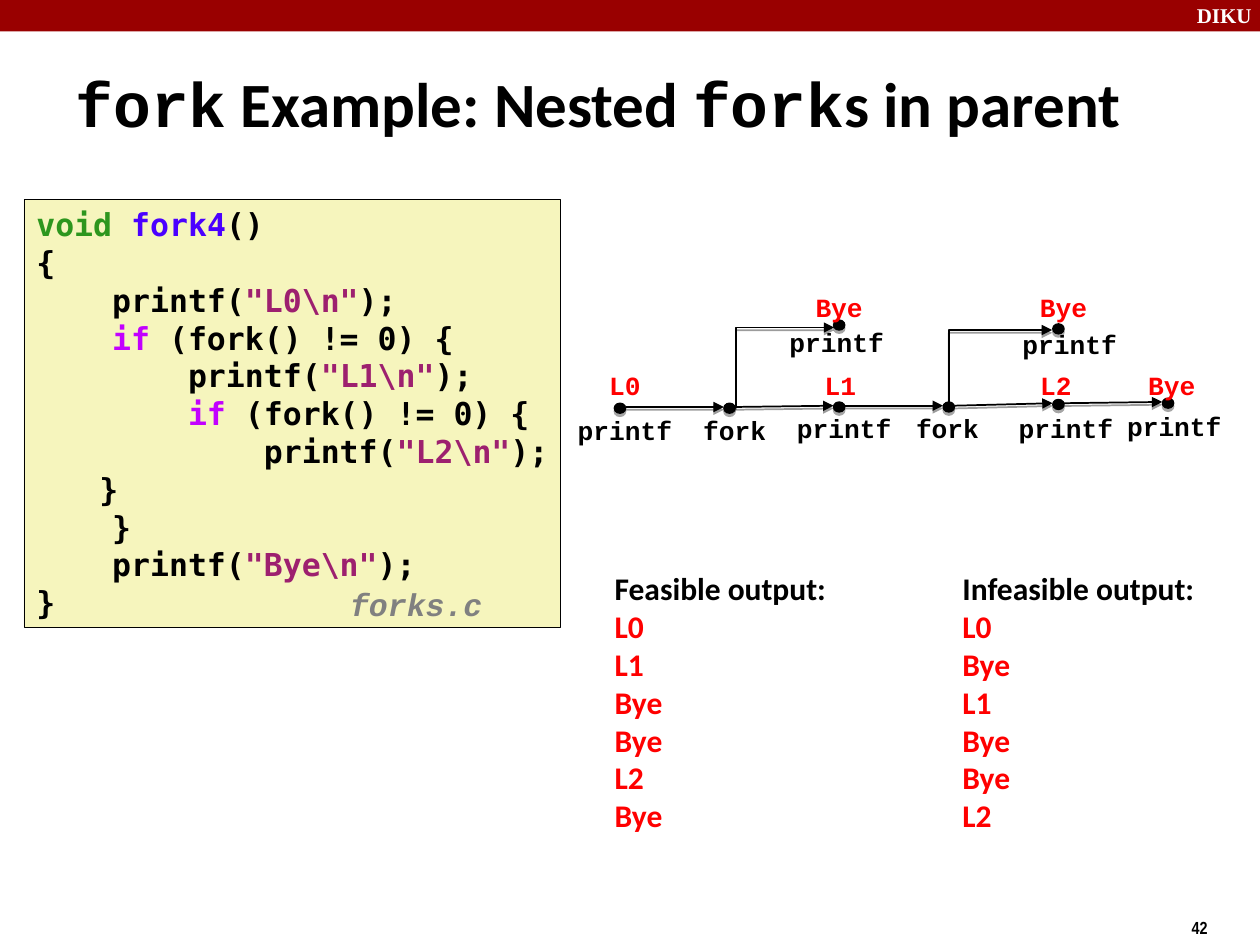
"""Build a slide on nested forks in the parent, with code, process graph and outputs."""
from lxml import etree
from pptx import Presentation
from pptx.dml.color import RGBColor
from pptx.enum.shapes import MSO_CONNECTOR, MSO_SHAPE
from pptx.enum.text import MSO_ANCHOR, PP_ALIGN
from pptx.oxml.ns import qn
from pptx.util import Inches, Pt

RECTANGLE, OVAL = MSO_SHAPE.RECTANGLE, MSO_SHAPE.OVAL
STRAIGHT, ELBOW = MSO_CONNECTOR.STRAIGHT, MSO_CONNECTOR.ELBOW
LEFT, CENTER = PP_ALIGN.LEFT, PP_ALIGN.CENTER
TOP, MIDDLE = MSO_ANCHOR.TOP, MSO_ANCHOR.MIDDLE

BLACK = RGBColor(0x00, 0x00, 0x00)
WHITE = RGBColor(0xFF, 0xFF, 0xFF)
CRIMSON = RGBColor(0x99, 0x00, 0x00)
RED = RGBColor(0xFF, 0x00, 0x00)
GRAY = RGBColor(0x80, 0x80, 0x80)
CREAM = RGBColor(0xF6, 0xF5, 0xBD)
TYPE_GREEN = RGBColor(0x2D, 0x96, 0x1E)
NAME_BLUE = RGBColor(0x4A, 0x00, 0xFF)
STRING_PURPLE = RGBColor(0x9D, 0x20, 0x6F)
KEYWORD_PINK = RGBColor(0xC2, 0x00, 0xFF)

SANS, MONO, CODE_FONT = "Calibri", "Courier New", "DejaVu Sans Mono"


def print_line(indent, string):
    return [(indent + "printf(", BLACK), (string, STRING_PURPLE), (");", BLACK)]


def if_line(indent):
    return [(indent, BLACK), ("if", KEYWORD_PINK), (" (fork() != 0) {", BLACK)]


TITLE = [("fork", MONO), (" Example: Nested ", SANS), ("fork", MONO), ("s in parent", SANS)]
CODE = [
    [("void ", TYPE_GREEN), ("fork4", NAME_BLUE), ("()", BLACK)],
    [("{", BLACK)],
    print_line("    ", '"L0\\n"'),
    if_line("    "),
    print_line("        ", '"L1\\n"'),
    if_line("        "),
    print_line("            ", '"L2\\n"'),
    [("\t}", BLACK)],
    [("    }", BLACK)],
    print_line("    ", '"Bye\\n"'),
    [("}", BLACK)],
]
OUTPUTS = [
    (4.78, 1.88, "Feasible output:", ["L0", "L1", "Bye", "Bye", "L2", "Bye"]),
    (7.54, 2.04, "Infeasible output:", ["L0", "Bye", "L1", "Bye", "Bye", "L2"]),
]

# Rows: caption, dot centre y, caption centre x, caption top, printed text, printed centre x
PARENT = [
    ("printf", 3.24, 4.96, 3.24, "L0", 4.96),
    ("fork", 3.24, 5.83, 3.24, None, None),
    ("printf", 3.23, 6.7, 3.22, "L1", 6.67),
    ("fork", 3.23, 7.52, 3.22, None, None),
    ("printf", 3.21, 8.46, 3.22, "L2", 8.38),
    ("printf", 3.2, 9.32, 3.21, "Bye", 9.3),
]
CHILDREN = [
    ("printf", 2.58, 6.64, 2.54, "Bye", 6.66),
    ("printf", 2.61, 8.49, 2.56, "Bye", 8.44),
]
BRANCHES = [((5.84, 3.23), (6.62, 2.6)), ((7.53, 3.22), (8.35, 2.62))]
FIRST_DOT, DOT_STEP, DOT_WIDTH, DOT_HEIGHT = 4.92, 0.87, 0.09, 0.08
PARENT_PRINT_TOP, CHILD_PRINT_TOP = 2.88, 2.26
CAPTION_WIDTH, CAPTION_HEIGHT = 1.05, 0.35


def write(frame, paragraphs, size, align=LEFT, anchor=TOP, italic=False):
    """Fill a text frame with paragraphs of (text, font, color) runs."""
    frame.word_wrap = False
    frame.vertical_anchor = anchor
    for index, runs in enumerate(paragraphs):
        paragraph = frame.paragraphs[0] if index == 0 else frame.add_paragraph()
        paragraph.alignment = align
        for text, font, color in runs:
            run = paragraph.add_run()
            run.text = text
            run.font.name, run.font.size = font, Pt(size)
            run.font.bold, run.font.italic = True, italic
            run.font.color.rgb = color


def add_text(slide, box, paragraphs, size, **options):
    shape = slide.shapes.add_textbox(*map(Inches, box))
    write(shape.text_frame, paragraphs, size, **options)
    return shape


def add_block(slide, kind, box, fill, line_width=None):
    shape = slide.shapes.add_shape(kind, *map(Inches, box))
    shape.shadow.inherit = False
    shape.fill.solid()
    shape.fill.fore_color.rgb = fill
    if line_width is None:
        shape.line.fill.background()
    else:
        shape.line.color.rgb = BLACK
        shape.line.width = Pt(line_width)
    return shape


def add_shadow(shape, distance, opacity):
    """Drop a sharp black shadow straight below a shape or connector."""
    properties = shape._element.spPr
    effects = properties.find(qn("a:effectLst"))
    if effects is None:
        effects = etree.SubElement(properties, qn("a:effectLst"))
    shadow = etree.SubElement(effects, qn("a:outerShdw"), blurRad="0",
                              dist=str(Pt(distance)), dir="5400000", rotWithShape="0")
    color = etree.SubElement(shadow, qn("a:srgbClr"), val=str(BLACK))
    etree.SubElement(color, qn("a:alpha"), val=str(opacity * 1000))


def add_arrow(slide, kind, start, end):
    connector = slide.shapes.add_connector(kind, *map(Inches, (*start, *end)))
    connector.line.color.rgb = BLACK
    connector.line.width = Pt(1)
    etree.SubElement(connector.line._get_or_add_ln(), qn("a:tailEnd"), type="triangle")
    add_shadow(connector, 1.6, 38)
    return connector


def add_branch(slide, start, end):
    """Draw an arrow that goes up from start, then right to end."""
    middle_x, middle_y = (start[0] + end[0]) / 2, (start[1] + end[1]) / 2
    half_rise, half_run = (start[1] - end[1]) / 2, (end[0] - start[0]) / 2
    connector = add_arrow(slide, ELBOW, (middle_x + half_rise, middle_y + half_run),
                          (middle_x - half_rise, middle_y - half_run))
    properties = connector._element.spPr
    properties.find(qn("a:prstGeom")).set("prst", "bentConnector2")
    properties.find(qn("a:xfrm")).set("rot", "5400000")


def add_caption(slide, text, center, top, color):
    box = (center - CAPTION_WIDTH / 2, top, CAPTION_WIDTH, CAPTION_HEIGHT)
    add_text(slide, box, [[(text, MONO, color)]], 15, align=CENTER)


def add_events(slide, events, columns, print_top):
    for column, (caption, y, center, top, printed, print_center) in zip(columns, events):
        x = FIRST_DOT + column * DOT_STEP
        dot = add_block(slide, OVAL, (x - DOT_WIDTH / 2, y - DOT_HEIGHT / 2,
                                      DOT_WIDTH, DOT_HEIGHT), BLACK, 0.75)
        add_shadow(dot, 1.8, 35)
        add_caption(slide, caption, center, top, BLACK)
        if printed:
            add_caption(slide, printed, print_center, print_top, RED)


def add_graph(slide):
    for column, (event, following) in enumerate(zip(PARENT, PARENT[1:])):
        x = FIRST_DOT + column * DOT_STEP
        add_arrow(slide, STRAIGHT, (x + DOT_WIDTH / 2, event[1] - 0.01),
                  (x + DOT_STEP - DOT_WIDTH / 2, following[1] - 0.01))
    for start, end in BRANCHES:
        add_branch(slide, start, end)
    add_events(slide, PARENT, range(len(PARENT)), PARENT_PRINT_TOP)
    add_events(slide, CHILDREN, (2, 4), CHILD_PRINT_TOP)


def main():
    presentation = Presentation()
    presentation.slide_width, presentation.slide_height = Inches(10), Inches(7.5)
    slide = presentation.slides.add_slide(presentation.slide_layouts[6])

    add_block(slide, RECTANGLE, (0, 0, 10, 0.25), CRIMSON)
    add_text(slide, (9.4, -0.03, 0.67, 0.3), [[("DIKU", "Times New Roman", WHITE)]], 12)
    add_text(slide, (9.36, 7.23, 0.75, 0.27), [[("42", "Arial Narrow", BLACK)]], 10)
    title = [(text, font, BLACK) for text, font in TITLE]
    add_text(slide, (0.5, 0.5, 8.78, 0.63), [title], 36, anchor=MIDDLE)

    panel = add_block(slide, RECTANGLE, (0.19, 1.58, 4.26, 3.4), CREAM, 0.25)
    code = [[(text, CODE_FONT, color) for text, color in line] for line in CODE]
    write(panel.text_frame, code, 18)
    add_graph(slide)
    for left, width, heading, lines in OUTPUTS:
        paragraphs = [[(heading, SANS, BLACK)]] + [[(line, SANS, RED)] for line in lines]
        add_text(slide, (left, 4.47, width, 2.2), paragraphs, 18)
    file_name = add_text(slide, (2.68, 4.62, 1.25, 0.38), [[("forks.c", MONO, GRAY)]], 18,
                         italic=True)
    file_name.text_frame.paragraphs[0].line_spacing = 0.94
    presentation.save("out.pptx")


if __name__ == "__main__":
    main()
